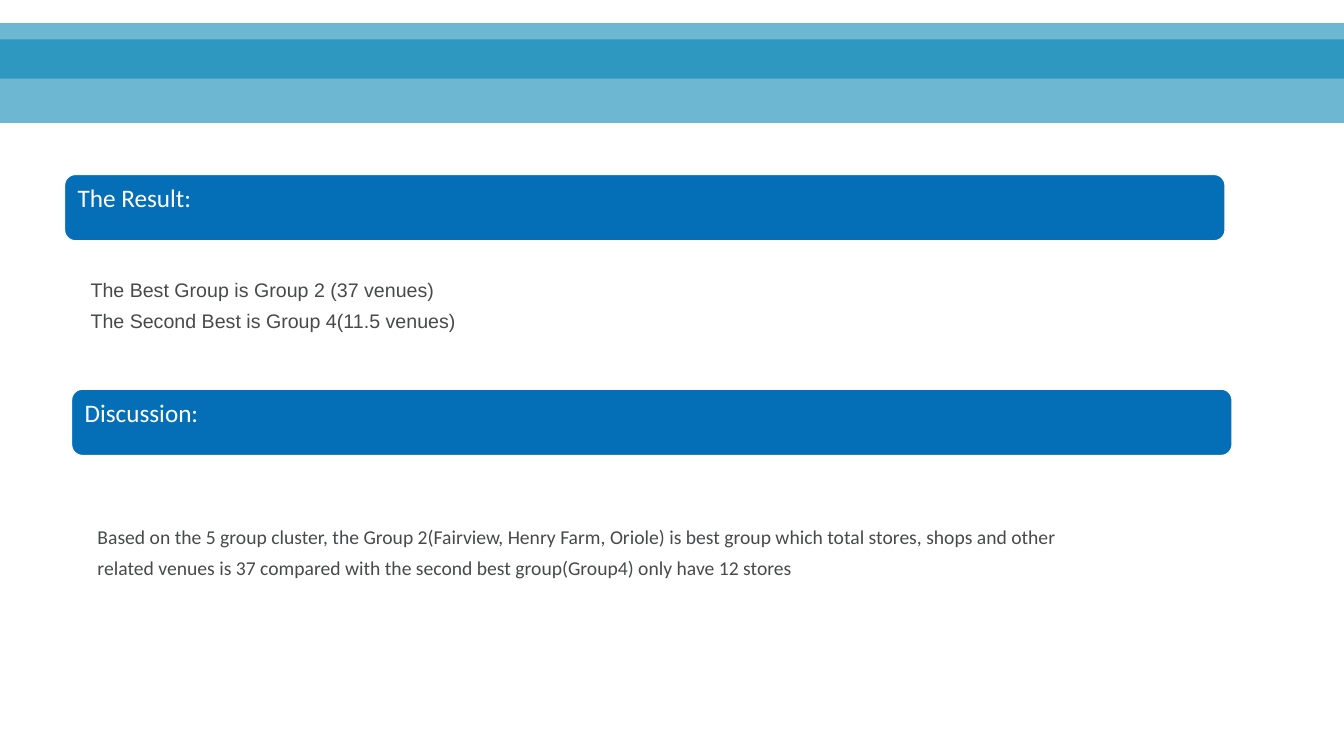
"""Builds the results and discussion slide."""
from dataclasses import dataclass

from lxml import etree
from pptx import Presentation
from pptx import util as u
from pptx.dml.color import RGBColor
from pptx.enum import shapes, text
from pptx.oxml.ns import qn

WIDTH, HEIGHT = u.Inches(13.34), u.Inches(7.5)
BAND_BLUE = RGBColor(0x00, 0x82, 0xB3)
BAR_BLUE = RGBColor(0x04, 0x6F, 0xB6)
WHITE = RGBColor(0xFF, 0xFF, 0xFF)
GREY = RGBColor(0x47, 0x49, 0x4B)
BAND_ALPHA = 57
BAR_WIDTH, BAR_HEIGHT = 86.36, 8.8
BODY_INDENT, BODY_HEIGHT = 1.2, 9.47


@dataclass(frozen=True)
class Band:
    """A translucent full-width band, in percent of the slide height."""
    top: float
    height: float


@dataclass(frozen=True)
class Section:
    """A heading bar and its body text, in percent of the slide size."""
    heading: str
    left: float
    top: float
    body: tuple[str, ...]
    body_top: float
    body_width: float
    body_font: str


BANDS = (Band(5.2, 11.07), Band(3.07, 7.33))
SECTIONS = (
    Section("The Result:", 4.8, 23.07,
            ("The Best Group is Group 2 (37 venues)",
             "The Second Best is Group 4(11.5 venues)"),
            35.2, 56.07, "Arial"),
    Section("Discussion:", 5.32, 51.47,
            ("Based on the 5 group cluster, the Group 2(Fairview, Henry Farm, "
             "Oriole) is best group which total stores, shops and other related "
             "venues is 37 compared with the second best group(Group4) only "
             "have 12 stores",),
            67.87, 73.54, "Calibri"),
)


def place(left: float, top: float, width: float, height: float) -> tuple[int, ...]:
    """Turn percentages of the slide into lengths."""
    return (round(WIDTH * left / 100), round(HEIGHT * top / 100),
            round(WIDTH * width / 100), round(HEIGHT * height / 100))


def add_box(slide, kind, box: tuple[int, ...], fill: RGBColor):
    """Add a flat filled shape."""
    sp = slide.shapes.add_shape(kind, *box)
    sp.shadow.inherit = False
    sp.fill.solid()
    sp.fill.fore_color.rgb = fill
    return sp


def add_run(p, words: str, font: str, size: int, color: RGBColor) -> None:
    """Add one left-aligned formatted run."""
    p.alignment = text.PP_ALIGN.LEFT
    r = p.add_run()
    r.text = words
    r.font.name, r.font.size = font, u.Pt(size)
    r.font.color.rgb = color


def draw_band(slide, band: Band) -> None:
    """Draw a translucent band across the slide."""
    sp = add_box(slide, shapes.MSO_SHAPE.RECTANGLE,
                 place(0, band.top, 100, band.height), BAND_BLUE)
    sp.line.fill.background()
    color = sp.fill._xPr.find(qn("a:solidFill"))[0]
    etree.SubElement(color, qn("a:alpha"), val=str(BAND_ALPHA * 1000))


def draw_section(slide, section: Section) -> None:
    """Draw a heading bar with its body text."""
    sp = add_box(slide, shapes.MSO_SHAPE.ROUNDED_RECTANGLE,
                 place(section.left, section.top, BAR_WIDTH, BAR_HEIGHT), BAR_BLUE)
    sp.line.color.rgb = WHITE
    sp.line.width = u.Pt(1)
    tf = sp.text_frame
    tf.vertical_anchor = text.MSO_ANCHOR.TOP
    add_run(tf.paragraphs[0], section.heading, "Calibri", 18, WHITE)

    box = place(section.left + BODY_INDENT, section.body_top,
                section.body_width, BODY_HEIGHT)
    tf = slide.shapes.add_textbox(*box).text_frame
    tf.word_wrap = True
    tf.auto_size = text.MSO_AUTO_SIZE.SHAPE_TO_FIT_TEXT
    for i, words in enumerate(section.body):
        p = tf.add_paragraph() if i else tf.paragraphs[0]
        p.line_spacing = 1.3
        add_run(p, words, section.body_font, 14, GREY)


def main() -> None:
    """Build and save the slide."""
    prs = Presentation()
    prs.slide_width, prs.slide_height = WIDTH, HEIGHT
    slide = prs.slides.add_slide(prs.slide_layouts.get_by_name("Blank"))
    for band in BANDS:
        draw_band(slide, band)
    for section in SECTIONS:
        draw_section(slide, section)
    prs.save("out.pptx")


if __name__ == "__main__":
    main()
